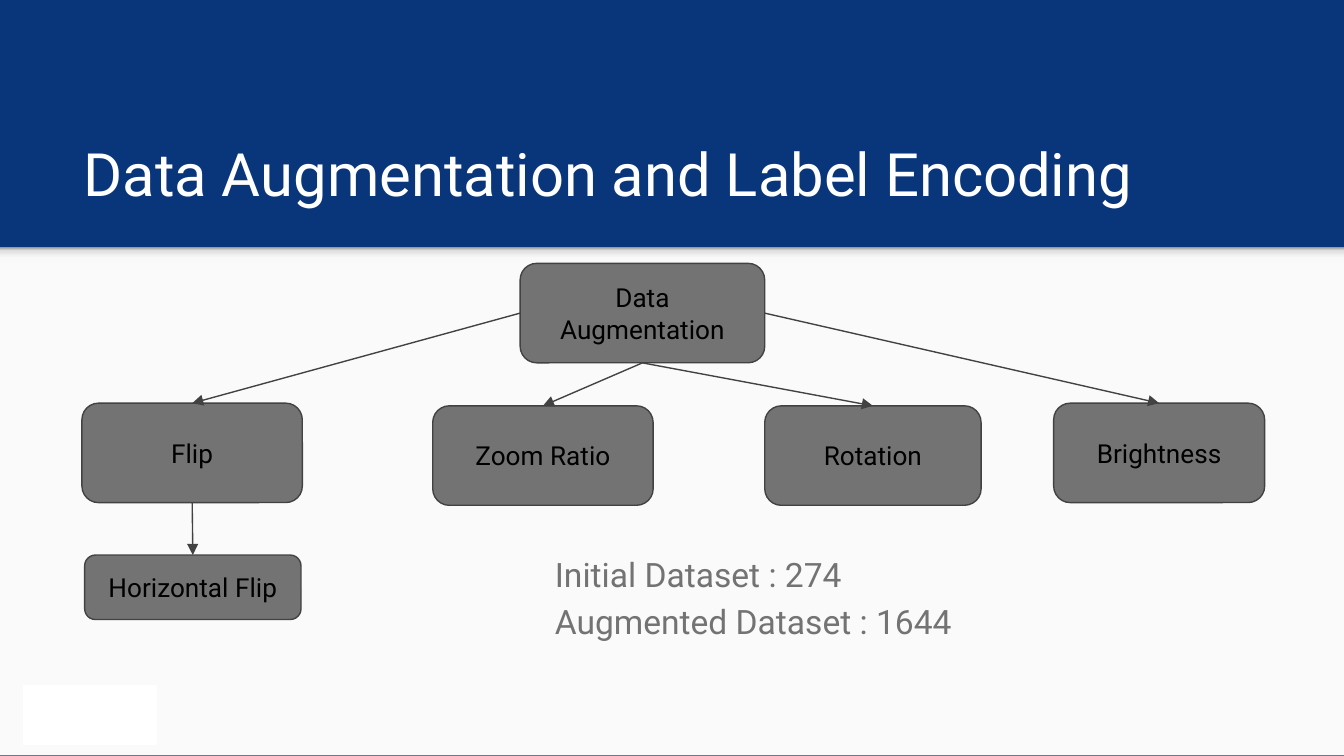
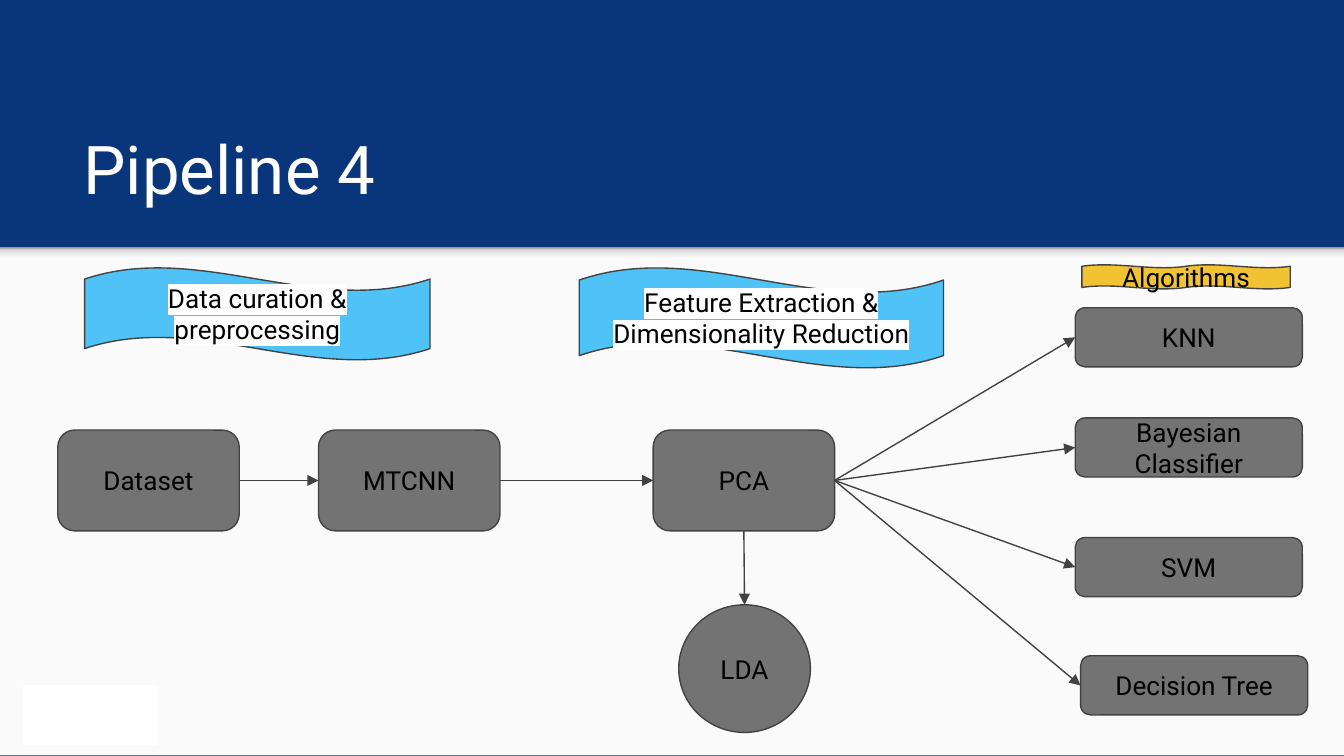
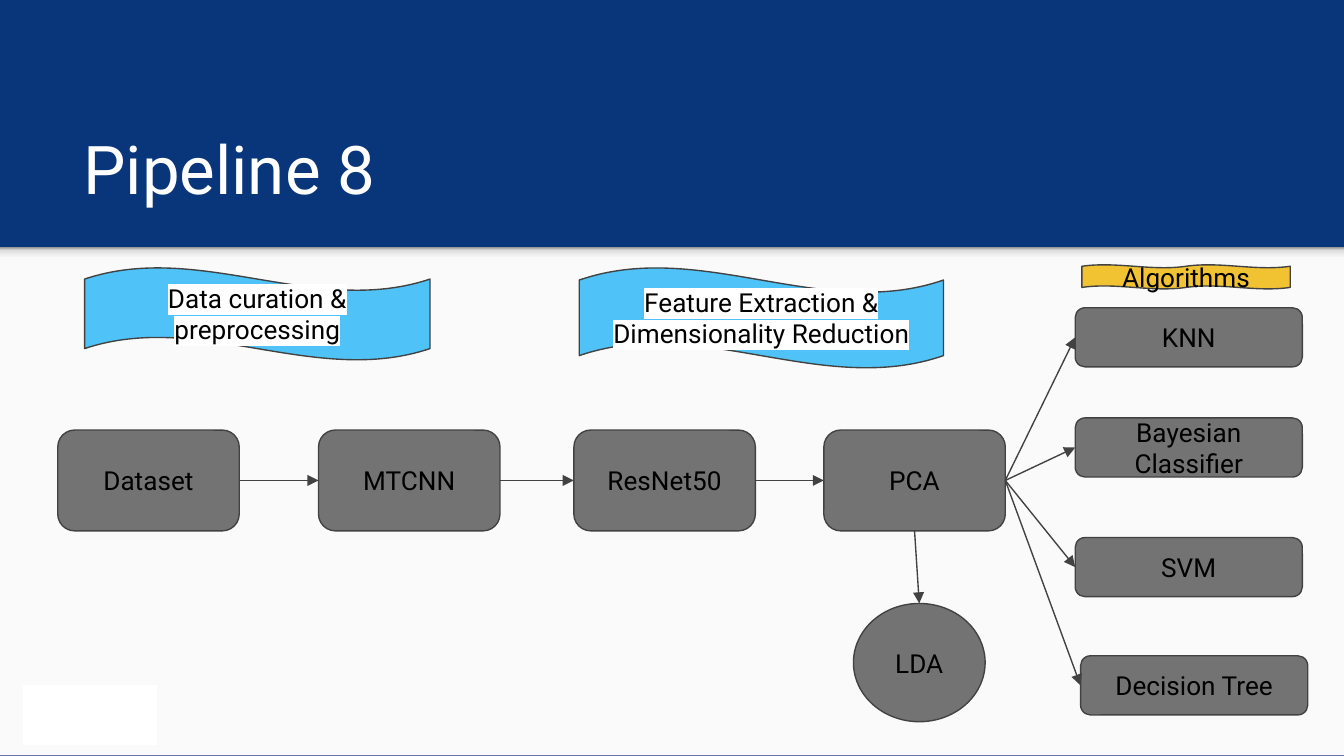
import pptx
import pptx.dml.color
import pptx.enum.dml
import pptx.enum.shapes
import pptx.enum.text
import pptx.oxml.ns
import pptx.util
from lxml import etree

Inches = pptx.util.Inches
Pt = pptx.util.Pt
qn = pptx.oxml.ns.qn
SHAPE = pptx.enum.shapes.MSO_SHAPE
ANCHOR = pptx.enum.text.MSO_ANCHOR
ALIGN = pptx.enum.text.PP_ALIGN

# Content: each node is name -> (left, top, width, height)
AUGMENTATION_TITLE = "Data Augmentation and Label Encoding"
AUGMENTATION_NODES = {
    "Data Augmentation": (3.87, 1.96, 1.82, 0.74),
    "Flip": (0.61, 3, 1.64, 0.74),
    "Zoom Ratio": (3.22, 3.02, 1.64, 0.74),
    "Rotation": (5.69, 3.02, 1.61, 0.74),
    "Brightness": (7.84, 3, 1.57, 0.74),
    "Horizontal Flip": (0.63, 4.13, 1.61, 0.48),
}
TOP, LEFT, BOTTOM, RIGHT = range(4)
AUGMENTATION_LINKS = [
    ("Flip", BOTTOM, "Horizontal Flip", TOP),
    ("Data Augmentation", LEFT, "Flip", TOP),
    ("Data Augmentation", BOTTOM, "Zoom Ratio", TOP),
    ("Data Augmentation", BOTTOM, "Rotation", TOP),
    ("Data Augmentation", RIGHT, "Brightness", TOP),
]
DATASET_SIZES = ["Initial Dataset : 274", "Augmented Dataset : 1644"]

PIPELINES = [
    {"title": "Pipeline 4",
     "steps": {"Dataset": 0.43, "MTCNN": 2.37, "PCA": 4.86},
     "lda": (5.05, 4.5, 0.98, 0.95)},
    {"title": "Pipeline 8",
     "steps": {"Dataset": 0.43, "MTCNN": 2.37, "ResNet50": 4.27, "PCA": 6.13},
     "lda": (6.35, 4.49, 0.98, 0.88)},
]
STEP_TOP, STEP_WIDTH, STEP_HEIGHT = 3.2, 1.35, 0.75
ALGORITHMS = {
    "KNN": (8, 2.29),
    "Bayesian Classifier": (8, 3.11),
    "SVM": (8, 4),
    "Decision Tree": (8.04, 4.88),
}
ALGORITHM_SIZE = (1.69, 0.44)
STAGE_BANNERS = [
    ("Data curation & preprocessing", (0.63, 1.99, 2.57, 0.69)),
    ("Feature Extraction & Dimensionality Reduction", (4.31, 1.99, 2.71, 0.75)),
]
ALGORITHMS_BANNER = ("Algorithms", (8.05, 1.97, 1.55, 0.18))

# Shared look
SLIDE_WIDTH = Inches(10)
SLIDE_HEIGHT = SLIDE_WIDTH * 9 // 16
FONT = "Roboto"
COLORS = {
    "header": "09357A", "page": "FAFAFA", "white": "FFFFFF", "black": "000000",
    "node": "737373", "outline": "424242", "stage": "4FC3F7", "algorithms": "F1C232",
}
SHADOW_STOPS = [(0, "F9F9F9"), (36, "F9F9F9"), (80, "DEDEDE"), (100, "999999")]
FRAME_FORMAT = {
    "word_wrap": True,
    "auto_size": pptx.enum.text.MSO_AUTO_SIZE.NONE,
    "margin_left": Inches(0.1), "margin_right": Inches(0.1),
    "margin_top": Inches(0.1), "margin_bottom": Inches(0.1),
}


def rgb(name):
    return pptx.dml.color.RGBColor.from_string(COLORS[name])


def inches(box):
    return [Inches(length) for length in box]


def write(shape, lines, size, color, anchor, align, spacing=None):
    frame = shape.text_frame
    for attribute, value in FRAME_FORMAT.items():
        setattr(frame, attribute, value)
    frame.vertical_anchor = anchor
    frame.text = "\n".join(lines)
    for paragraph in frame.paragraphs:
        paragraph.alignment = align
        paragraph.line_spacing = spacing
        font = paragraph.runs[0].font
        font.name, font.size = FONT, Pt(size)
        font.color.rgb = rgb(color)


def add_block(slide, kind, box, fill, line=None, text=None):
    block = slide.shapes.add_shape(kind, *inches(box))
    block.shadow.inherit = False
    block.fill.solid()
    block.fill.fore_color.rgb = rgb(fill)
    if line:
        block.line.color.rgb = rgb(line)
        block.line.width = Pt(0.75)
    else:
        block.line.fill.background()
    if text:
        write(block, [text], 14, "black", ANCHOR.MIDDLE, ALIGN.CENTER)
    return block


def add_node(slide, text, box, kind=SHAPE.ROUNDED_RECTANGLE):
    return add_block(slide, kind, box, "node", "outline", text)


def highlight(shape, color):
    """Mark the text behind its letters; the mark precedes the font name."""
    for latin in shape.element.iter(qn("a:latin")):
        mark = etree.Element(qn("a:highlight"))
        etree.SubElement(mark, qn("a:srgbClr"), val=COLORS[color])
        latin.addprevious(mark)


def link(slide, start, start_side, end, end_side):
    arrow = slide.shapes.add_connector(
        pptx.enum.shapes.MSO_CONNECTOR.STRAIGHT, 0, 0, 0, 0)
    arrow.begin_connect(start, start_side)
    arrow.end_connect(end, end_side)
    arrow.line.color.rgb = rgb("outline")
    arrow.line.width = Pt(0.75)
    outline = arrow.element.spPr.find(qn("a:ln"))
    etree.SubElement(outline, qn("a:tailEnd"), type="triangle")
    etree.SubElement(arrow.element.spPr, qn("a:effectLst"))


def add_slide(deck, title, title_size):
    slide = deck.slides.add_slide(deck.slide_layouts[5])
    add_block(slide, SHAPE.RECTANGLE, (0, 1.84, 10, 3.78), "page")

    # Soft shadow below the header, dark at its top
    header_shadow = add_block(slide, SHAPE.RECTANGLE, (0, 1.84, 10, 0.12), "page")
    header_shadow.fill.gradient()
    header_shadow.fill.gradient_angle = 90
    stops = next(header_shadow.element.iter(qn("a:gsLst")))
    for stop in list(stops):
        stops.remove(stop)
    for percent, color in SHADOW_STOPS:
        stop = etree.SubElement(stops, qn("a:gs"), pos=str(percent * 1000))
        etree.SubElement(stop, qn("a:srgbClr"), val=color)

    heading = slide.shapes.title
    heading.left, heading.top, heading.width, heading.height = inches(
        (0.52, 0.81, 8.99, 0.84))
    write(heading, [title], title_size, "white", ANCHOR.BOTTOM, ALIGN.LEFT)
    add_block(slide, SHAPE.RECTANGLE, (0.18, 5.1, 0.98, 0.44), "white", "white")
    return slide


def add_augmentation(deck):
    slide = add_slide(deck, AUGMENTATION_TITLE, 32)
    nodes = {name: add_node(slide, name, box)
             for name, box in AUGMENTATION_NODES.items()}
    for start, start_side, end, end_side in AUGMENTATION_LINKS:
        link(slide, nodes[start], start_side, nodes[end], end_side)
    sizes = slide.shapes.add_textbox(*inches((4.03, 3.98, 5.39, 1.51)))
    write(sizes, DATASET_SIZES, 18, "node", ANCHOR.TOP, ALIGN.LEFT, 1.15)


def add_pipeline(deck, pipeline):
    slide = add_slide(deck, pipeline["title"], 36)
    steps = [add_node(slide, name, (left, STEP_TOP, STEP_WIDTH, STEP_HEIGHT))
             for name, left in pipeline["steps"].items()]
    algorithms = [add_node(slide, name, corner + ALGORITHM_SIZE)
                  for name, corner in ALGORITHMS.items()]

    # Steps run left to right; the last one feeds every algorithm and LDA
    pca = steps[-1]
    for step, following in zip(steps, steps[1:]):
        link(slide, step, RIGHT, following, LEFT)
    for algorithm in algorithms:
        link(slide, pca, RIGHT, algorithm, LEFT)
    lda = add_node(slide, "LDA", pipeline["lda"], SHAPE.OVAL)
    link(slide, pca, BOTTOM, lda, TOP)

    # Banners over the stages
    for text, box in STAGE_BANNERS:
        banner = add_block(slide, SHAPE.WAVE, box, "stage", "outline", text)
        highlight(banner, "white")
    text, box = ALGORITHMS_BANNER
    add_block(slide, SHAPE.DOUBLE_WAVE, box, "algorithms", "outline", text)


def main():
    deck = pptx.Presentation()
    deck.slide_width, deck.slide_height = SLIDE_WIDTH, SLIDE_HEIGHT
    background = deck.slide_master.background.fill
    background.solid()
    background.fore_color.rgb = rgb("header")
    add_augmentation(deck)
    for pipeline in PIPELINES:
        add_pipeline(deck, pipeline)
    deck.save("out.pptx")


if __name__ == "__main__":
    main()
